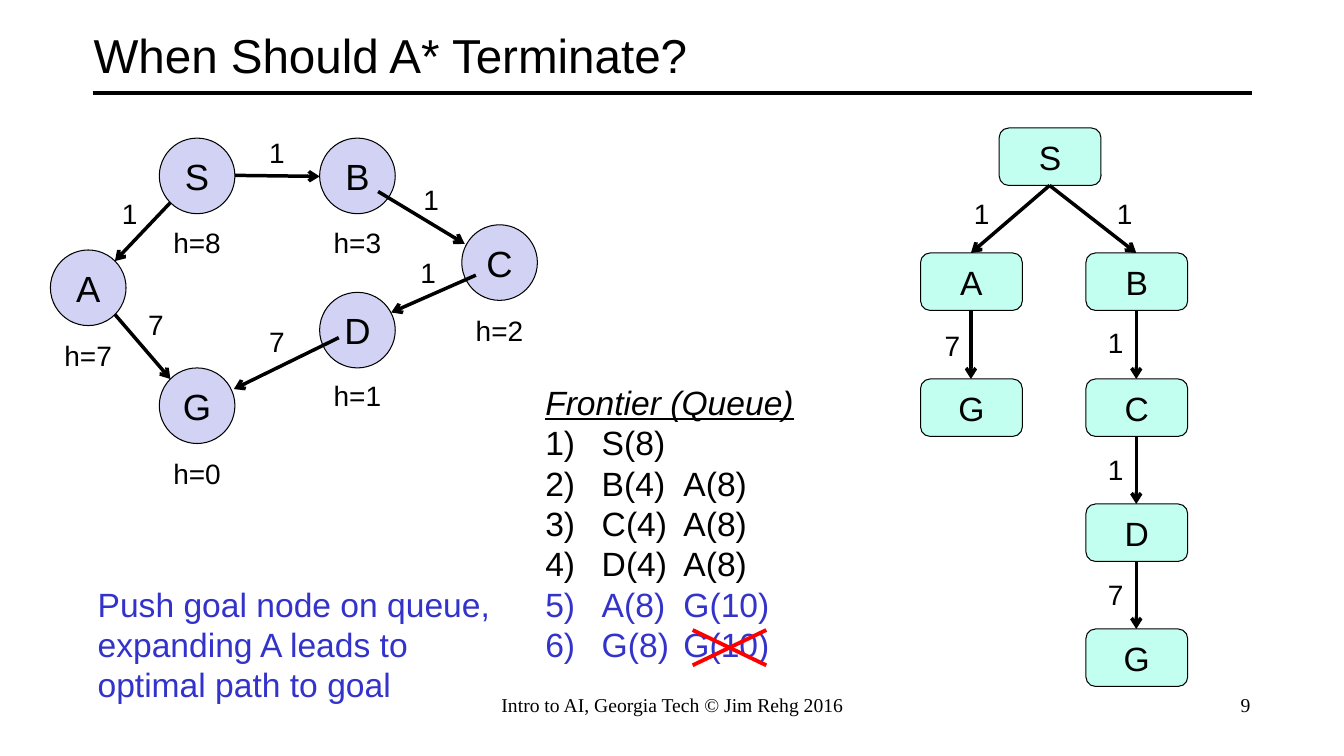
from lxml.etree import SubElement
from pptx import Presentation
from pptx.dml.color import RGBColor
from pptx.enum.shapes import MSO_CONNECTOR, MSO_SHAPE
from pptx.enum.text import MSO_ANCHOR, MSO_AUTO_SIZE, PP_ALIGN
from pptx.oxml.ns import qn
from pptx.util import Emu, Pt

BLACK, BLUE, RED = "000000", "3333CC", "FF0000"
LILAC, MINT = "D2D2F4", "C2FFF0"
CIRCLE = 75
BOX_WIDTH, BOX_HEIGHT = 101, 57

GRAPH_NODES = [
    ("S", 158, 137, "h=8", 219),
    ("G", 158, 365, "h=0", 448),
    ("A", 50, 248, "h=7", 331),
    ("D", 317, 290, "h=1", 371),
    ("B", 317, 137, "h=3", 219),
    ("C", 458, 223, "h=2", 306),
]
GRAPH_EDGES = [
    ((169, 201), (114, 259), "1", (111, 190)),
    ((114, 312), (169, 376), "7", (137, 300)),
    ((233, 174), (317, 175), "1", (257, 130)),
    ((336, 335), (232, 386), "7", (257, 317)),
    ((375, 190), (461, 242), "1", (410, 176)),
    ((472, 273), (388, 310), "1", (407, 249)),
]
TREE_NODES = [
    ("S", 991, 0), ("A", 913, 1), ("B", 1077, 1), ("G", 913, 2),
    ("C", 1077, 2), ("D", 1077, 3), ("G", 1077, 4),
]
TREE_EDGES = [
    (0, 1, "1", (956, 190)),
    (0, 2, "1", (1098, 190)),
    (1, 3, "7", (927, 321)),
    (2, 4, "1", (1089, 318)),
    (4, 5, "1", (1089, 444)),
    (5, 6, "7", (1089, 568)),
]
FRONTIER = [
    ("S(8)", BLACK), ("B(4)\tA(8)", BLACK), ("C(4)\tA(8)", BLACK),
    ("D(4)\tA(8)", BLACK), ("A(8)\tG(10)", BLUE), ("G(8)\tG(10)", BLUE),
]


def px(length):
    return Emu(length * 9144)


def color(value):
    return RGBColor.from_string(value)


def write(paragraph, text, size, hex_color=BLACK, align=PP_ALIGN.LEFT, **formats):
    paragraph.text = text
    paragraph.alignment = align
    formats = {"name": "Arial", "size": Pt(size), **formats}
    for run in paragraph.runs:
        for name, value in formats.items():
            setattr(run.font, name, value)
        run.font.color.rgb = color(hex_color)


def add_box(slide, left, top, width, height, wrap=False):
    shape = slide.shapes.add_textbox(px(left), px(top), px(width), px(height))
    frame = shape.text_frame
    frame.word_wrap = wrap
    frame.auto_size = MSO_AUTO_SIZE.NONE if wrap else MSO_AUTO_SIZE.SHAPE_TO_FIT_TEXT
    return frame


def add_label(slide, text, left, top, width=36):
    write(add_box(slide, left, top, width, 44).paragraphs[0], text, 20)


def add_node(slide, kind, text, left, top, width, height, fill, size):
    shape = slide.shapes.add_shape(kind, px(left), px(top), px(width), px(height))
    shape.shadow.inherit = False
    shape.fill.solid()
    shape.fill.fore_color.rgb = color(fill)
    shape.line.color.rgb = color(BLACK)
    shape.line.width = Pt(0.75)
    shape.text_frame.word_wrap = False
    shape.text_frame.vertical_anchor = MSO_ANCHOR.MIDDLE
    write(shape.text_frame.paragraphs[0], text, size, align=PP_ALIGN.CENTER)


def add_line(shapes, start, end, width=2.5, hex_color=BLACK, arrow=False):
    ends = [px(value) for value in (*start, *end)]
    line = shapes.add_connector(MSO_CONNECTOR.STRAIGHT, *ends)
    line.line.color.rgb = color(hex_color)
    line.line.width = Pt(width)
    if arrow:
        SubElement(line.line._get_or_add_ln(), qn("a:tailEnd"), type="arrow")
    SubElement(line._element.spPr, qn("a:effectLst"))


def add_edge(slide, start, end, weight, weight_at):
    add_line(slide.shapes, start, end, arrow=True)
    add_label(slide, weight, *weight_at)


def number_item(paragraph):
    properties = paragraph._p.get_or_add_pPr()
    properties.set("marL", str(px(56)))
    properties.set("indent", str(px(-56)))
    SubElement(properties, qn("a:buFont"), typeface="Arial")
    SubElement(properties, qn("a:buAutoNum"), type="arabicParenR")
    tabs = SubElement(properties, qn("a:tabLst"))
    SubElement(tabs, qn("a:tab"), pos=str(px(137)), algn="l")


def add_header_and_footer(slide):
    add_line(slide.shapes, (92, 92), (1242, 92), 3)
    title = add_box(slide, 83, 8, 1167, 92, wrap=True)
    title.vertical_anchor = MSO_ANCHOR.MIDDLE
    write(title.paragraphs[0], "When Should A* Terminate?", 34)
    for text, left, width, align in [
        ("Intro to AI, Georgia Tech © Jim Rehg 2016", 456, 422, PP_ALIGN.CENTER),
        ("9", 956, 294, PP_ALIGN.RIGHT),
    ]:
        footer = add_box(slide, left, 683, width, 50, wrap=True)
        write(footer.paragraphs[0], text, 14, align=align, name="Times New Roman")


def add_graph(slide):
    for name, left, top, heuristic, heuristic_top in GRAPH_NODES:
        add_node(slide, MSO_SHAPE.OVAL, name, left, top, CIRCLE, CIRCLE, LILAC, 26)
        add_label(slide, heuristic, left + 4, heuristic_top, 68)
    for edge in GRAPH_EDGES:
        add_edge(slide, *edge)


def add_tree(slide):
    tops = [round(127 + 124.3 * row) for row in range(5)]
    for name, left, row in TREE_NODES:
        add_node(slide, MSO_SHAPE.ROUNDED_RECTANGLE, name, left, tops[row],
                 BOX_WIDTH, BOX_HEIGHT, MINT, 24)
    for parent, child, weight, weight_at in TREE_EDGES:
        (_, parent_left, parent_row), (_, child_left, child_row) = (
            TREE_NODES[parent], TREE_NODES[child])
        start = (parent_left + BOX_WIDTH // 2, tops[parent_row] + BOX_HEIGHT)
        end = (child_left + BOX_WIDTH // 2, tops[child_row])
        add_edge(slide, start, end, weight, weight_at)


def add_frontier(slide):
    frame = add_box(slide, 531, 374, 269, 293)
    write(frame.paragraphs[0], "Frontier (Queue)", 24, italic=True, underline=True)
    for text, hex_color in FRONTIER:
        paragraph = frame.add_paragraph()
        number_item(paragraph)
        write(paragraph, text, 24, hex_color)
    cross = slide.shapes.add_group_shape()
    add_line(cross.shapes, (687, 625), (760, 660), 2.75, RED)
    add_line(cross.shapes, (760, 625), (687, 660), 2.75, RED)


def add_conclusion(slide):
    frame = add_box(slide, 87, 574, 414, 131)
    write(frame.paragraphs[0], "Push goal node on queue,", 24, BLUE)
    write(frame.add_paragraph(), "expanding A leads to\voptimal path to goal", 24, BLUE)


def main():
    presentation = Presentation()
    presentation.slide_width = px(1333)
    presentation.slide_height = px(750)
    slide = presentation.slides.add_slide(presentation.slide_layouts[6])
    add_header_and_footer(slide)
    add_graph(slide)
    add_tree(slide)
    add_frontier(slide)
    add_conclusion(slide)
    presentation.save("out.pptx")


if __name__ == "__main__":
    main()
